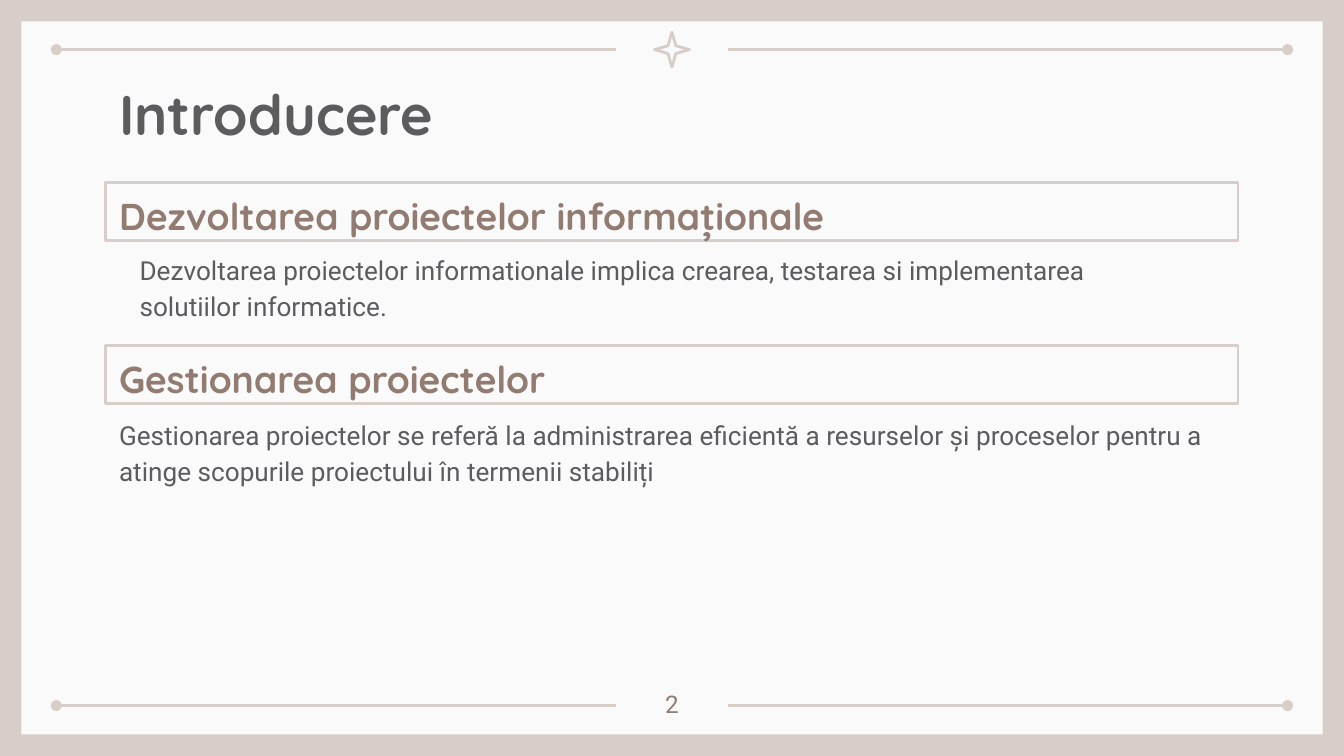
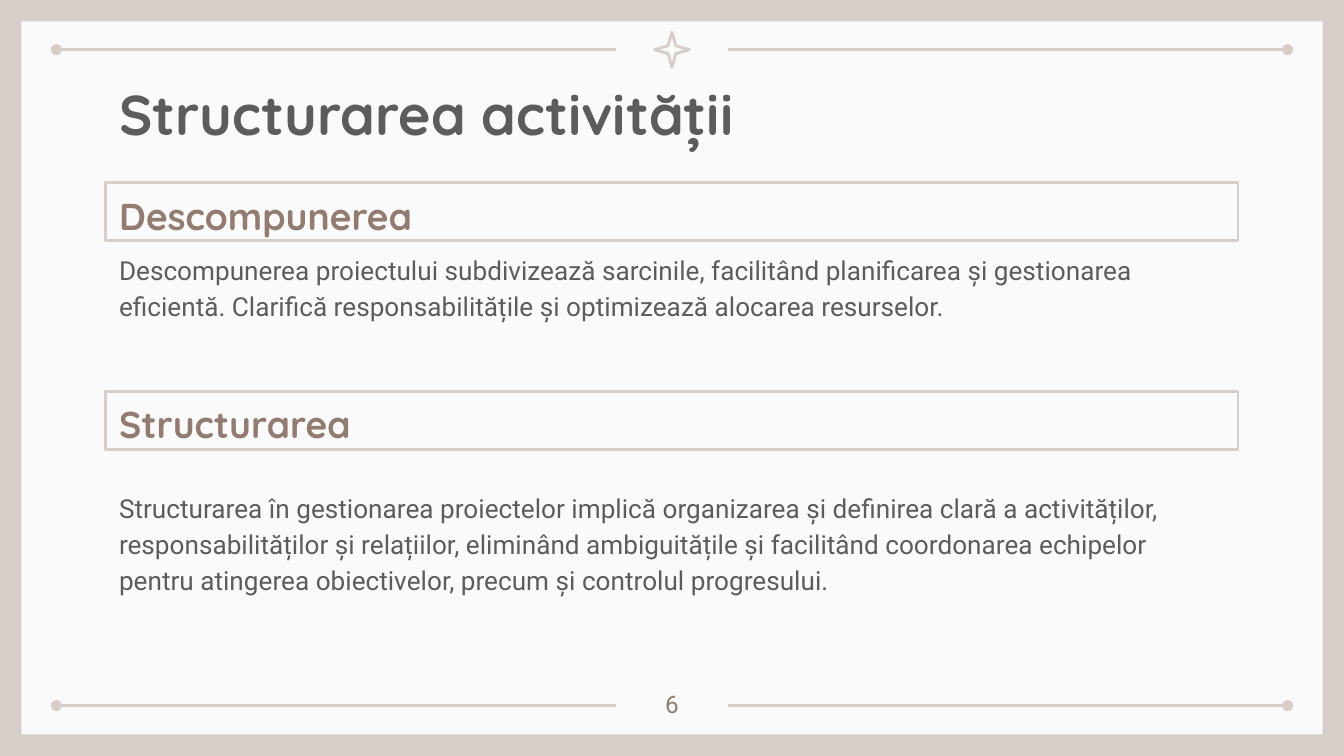
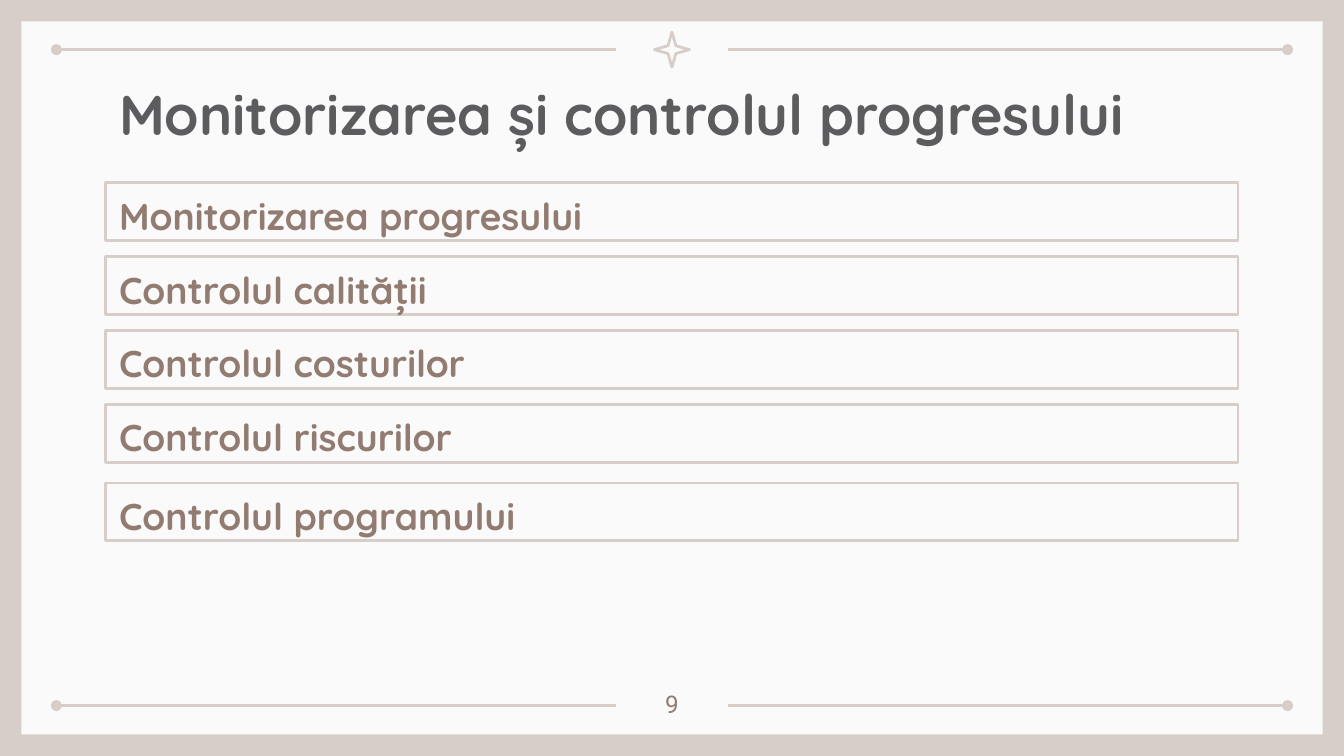
from pptx import Presentation
from pptx.dml.color import RGBColor
from pptx.enum.shapes import MSO_CONNECTOR, MSO_SHAPE
from pptx.enum.text import MSO_ANCHOR, PP_ALIGN
from pptx.oxml.ns import qn
from pptx.util import Pt
from lxml.etree import SubElement

COLORS = {"frame": "D8CEC9", "page": "FAFAFA", "text": "5C5C5F", "accent": "927C71"}
HEADING_FONT, BODY_FONT = "Quicksand", "Roboto"
SLIDE_WIDTH, SLIDE_HEIGHT = 720, 405
LEFT, WIDTH = 56.7, 606.6
HEADING_TOP, HEADING_HEIGHT, HEADING_STEP = 98, 31, 39.6
BODY_TOP = 126.7
INSET = 7.2


def color(name):
    return RGBColor.from_string(COLORS[name])


class Deck:
    def __init__(self):
        self.presentation = Presentation()
        self.presentation.slide_width = Pt(SLIDE_WIDTH)
        self.presentation.slide_height = Pt(SLIDE_HEIGHT)
        self.slide = None

    def new_slide(self, title, number):
        self.slide = self.presentation.slides.add_slide(self.presentation.slide_layouts[6])
        background = self.slide.background.fill
        background.solid()
        background.fore_color.rgb = color("frame")
        self.shape(MSO_SHAPE.RECTANGLE, 11.5, 11.5, 697, 382, fill="page")
        self.shape(MSO_SHAPE.STAR_4_POINT, 350.6, 17.2, 18.8, 18.8,
                   line="frame").adjustments[0] = 0.157
        for y in (26.6, 378):
            self.rule(30.2, 329.8, y, "a:headEnd")
            self.rule(390.2, 689.8, y, "a:tailEnd")
        self.text_box(LEFT, 35.3, WIDTH, 45.4, [title], HEADING_FONT, 30, "text", bold=True)
        self.text_box(338.4, 362.2, 43.2, 25.9, [str(number)], BODY_FONT, 13, "accent",
                      alignment=PP_ALIGN.CENTER)

    def shape(self, kind, left, top, width, height, fill=None, line=None):
        shape = self.slide.shapes.add_shape(kind, Pt(left), Pt(top), Pt(width), Pt(height))
        shape.shadow.inherit = False
        if fill:
            shape.fill.solid()
            shape.fill.fore_color.rgb = color(fill)
        else:
            shape.fill.background()
        if line:
            shape.line.color.rgb = color(line)
            shape.line.width = Pt(1.5)
        else:
            shape.line.fill.background()
        return shape

    def rule(self, start, end, y, dotted_end):
        """Draw a horizontal line with a dot at one end."""
        connector = self.slide.shapes.add_connector(
            MSO_CONNECTOR.STRAIGHT, Pt(start), Pt(y), Pt(end), Pt(y))
        connector.line.color.rgb = color("frame")
        connector.line.width = Pt(1.5)
        properties = connector._element.spPr
        SubElement(properties.find(qn("a:ln")), qn(dotted_end), type="oval")
        SubElement(properties, qn("a:effectLst"))

    def set_text(self, shape, lines, font, size, ink, bold=False, spacing=None,
                 alignment=PP_ALIGN.LEFT, anchor=MSO_ANCHOR.TOP, hanging=False):
        frame = shape.text_frame
        frame.word_wrap = True
        frame.vertical_anchor = anchor
        frame.margin_left = frame.margin_right = Pt(INSET)
        frame.margin_top = frame.margin_bottom = Pt(INSET)
        for index, line in enumerate(lines):
            paragraph = frame.add_paragraph() if index else frame.paragraphs[0]
            paragraph.alignment = alignment
            paragraph.line_spacing = spacing
            if hanging:
                properties = paragraph._p.get_or_add_pPr()
                properties.set("marL", str(Pt(36)))
                properties.set("indent", str(Pt(-25)))
            run = paragraph.add_run()
            run.text = line
            run.font.name = font
            run.font.size = Pt(size)
            run.font.bold = bold
            run.font.color.rgb = color(ink)

    def text_box(self, left, top, width, height, lines, font, size, ink, **style):
        box = self.slide.shapes.add_textbox(Pt(left), Pt(top), Pt(width), Pt(height))
        self.set_text(box, lines, font, size, ink, **style)

    def heading(self, text, top=HEADING_TOP):
        box = self.shape(MSO_SHAPE.RECTANGLE, LEFT, top, WIDTH, HEADING_HEIGHT, line="frame")
        self.set_text(box, [text], HEADING_FONT, 20, "accent", bold=True, spacing=1.15,
                      anchor=MSO_ANCHOR.MIDDLE)

    def body(self, lines, top=BODY_TOP, width=WIDTH, height=41.8, hanging=False):
        self.text_box(LEFT, top, width, height, lines, BODY_FONT, 14, "text",
                      spacing=1.15, hanging=hanging)


def main():
    deck = Deck()

    deck.new_slide("Introducere", 2)
    deck.heading("Dezvoltarea proiectelor informaționale")
    deck.body(["Dezvoltarea proiectelor informationale implica crearea, testarea si implementarea",
               "solutiilor informatice."], width=645.8, hanging=True)
    deck.heading("Gestionarea proiectelor", 185.3)
    deck.body(["Gestionarea proiectelor se referă la administrarea eficientă a resurselor și "
               "proceselor pentru a atinge scopurile proiectului în termenii stabiliți"], 215)

    deck.new_slide("Structurarea activității", 6)
    deck.heading("Descompunerea")
    deck.body(["Descompunerea proiectului subdivizează sarcinile, facilitând planificarea și "
               "gestionarea eficientă. Clarifică responsabilitățile și optimizează alocarea "
               "resurselor."])
    deck.heading("Structurarea", 209.7)
    deck.body(["Structurarea în gestionarea proiectelor implică organizarea și definirea clară "
               "a activităților, responsabilităților și relațiilor, eliminând ambiguitățile și "
               "facilitând coordonarea echipelor pentru atingerea obiectivelor, precum și "
               "controlul progresului."], 254.2, height=74.9)

    deck.new_slide("Monitorizarea și controlul progresului", 9)
    controls = ["Monitorizarea progresului", "Controlul calității",
                "Controlul costurilor", "Controlul riscurilor"]
    for index, control in enumerate(controls):
        deck.heading(control, HEADING_TOP + index * HEADING_STEP)
    deck.heading("Controlul programului", 258.8)

    deck.presentation.save("out.pptx")


if __name__ == "__main__":
    main()
